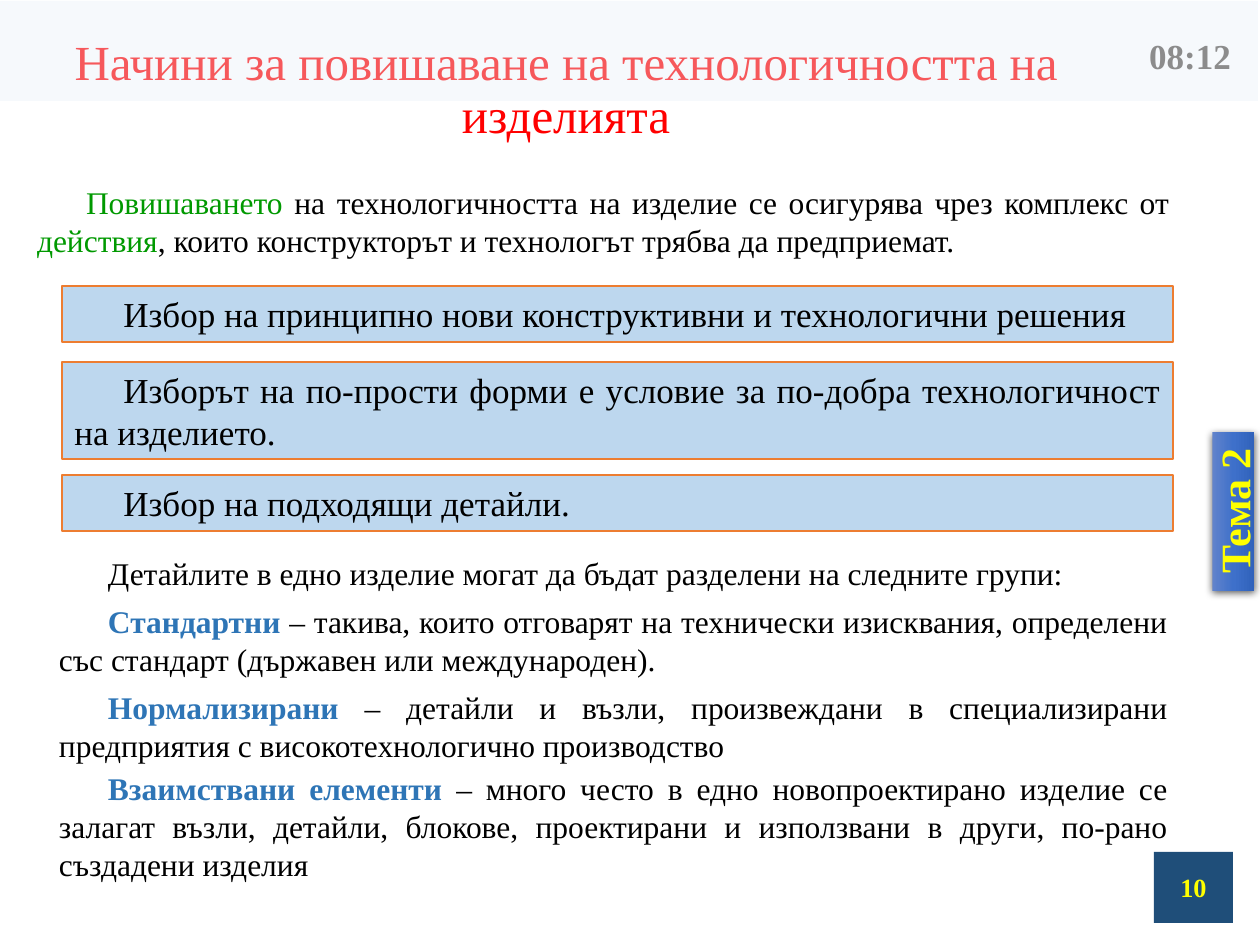
"""Build the slide on ways to make products easier to manufacture."""
from copy import deepcopy

from lxml.etree import SubElement
from pptx import Presentation
from pptx.dml.color import RGBColor
from pptx.enum.shapes import MSO_SHAPE
from pptx.enum.text import MSO_ANCHOR, PP_ALIGN
from pptx.oxml.ns import qn
from pptx.util import Pt

PX = 914400 / 126
FONT = "Times New Roman"
INDENT = 49
HEX = {
    "band": "E7F0F9", "red": "FF0000", "grey": "8C8C8C", "green": "009900",
    "black": "000000", "navy": "1F4E79", "yellow": "FFFF00", "pale": "BDD7EE",
    "orange": "ED7D31", "blue": "2E75B6",
    "light": "6183CB", "mid": "3E70CA", "dark": "3062BB",
}
RGB = {name: RGBColor.from_string(code) for name, code in HEX.items()}


def px(*sizes):
    return [round(size * PX) for size in sizes]


def write(frame, paras, size, align, inset=None, indent=0, anchor=MSO_ANCHOR.TOP):
    frame.word_wrap = True
    frame.vertical_anchor = anchor
    if inset is not None:
        edge = px(inset)[0]
        frame.margin_left = frame.margin_right = edge
        frame.margin_top = frame.margin_bottom = edge
    for i, (gap, runs) in enumerate(paras):
        para = frame.add_paragraph() if i else frame.paragraphs[0]
        para.alignment = align
        para.space_before = Pt(gap)
        if indent:
            para._p.get_or_add_pPr().set("indent", str(px(indent)[0]))
        for text, color, bold in runs:
            run = para.add_run()
            run.text = text
            run.font.name = FONT
            run.font.size = Pt(size)
            run.font.bold = bold
            run.font.color.rgb = RGB[color]


deck = Presentation()
deck.slide_width, deck.slide_height = px(1260, 945)
slide = deck.slides.add_slide(deck.slide_layouts[5])
shapes = slide.shapes

band = shapes.add_shape(MSO_SHAPE.RECTANGLE, *px(-2, 1, 1260, 100))
band.shadow.inherit = False
band.fill.solid()
band.fill.fore_color.rgb = RGB["band"]
band.line.fill.background()
tint = band._element.spPr.find(qn("a:solidFill"))[0]
SubElement(tint, qn("a:alpha"), val="37000")

tab = shapes.add_shape(MSO_SHAPE.RECTANGLE, *px(1154, 490, 159, 42))
tab.rotation = 270
tab.line.fill.background()
tab.fill.gradient()
tab.fill.gradient_angle = 270
stops = tab._element.spPr.find(qn("a:gradFill")).find(qn("a:gsLst"))
stops.insert(1, deepcopy(stops[0]))
for stop, (pos, color) in zip(
    tab.fill.gradient_stops, [(0, "light"), (0.5, "mid"), (1, "dark")]
):
    stop.position = pos
    stop.color.rgb = RGB[color]
tab.shadow.inherit = False
glow = SubElement(
    tab._element.spPr.find(qn("a:effectLst")), qn("a:outerShdw"),
    blurRad=str(Pt(4.5)), dist=str(Pt(1.5)), dir="5400000", rotWithShape="0",
)
shade = SubElement(glow, qn("a:srgbClr"), val=HEX["black"])
SubElement(shade, qn("a:alpha"), val="63000")
write(tab.text_frame, [(0, [("Тема 2", "yellow", True)])], 24,
      PP_ALIGN.CENTER, anchor=MSO_ANCHOR.MIDDLE)

title = shapes.title
title.left, title.top, title.width, title.height = px(32, 33, 1068, 117)
write(title.text_frame,
      [(0, [("Начини за повишаване на технологичността на изделията", "red", False)])],
      28, PP_ALIGN.CENTER, 5)
title.text_frame.paragraphs[0].line_spacing = 0.9

clock = shapes.add_textbox(*px(1131, 30, 118, 50))
write(clock.text_frame, [(0, [("08:12", "grey", True)])], 20,
      PP_ALIGN.CENTER, anchor=MSO_ANCHOR.MIDDLE)

intro = shapes.add_textbox(*px(32, 178, 1143, 87))
write(intro.text_frame, [(3, [
    ("Повишаването", "green", False),
    (" на технологичността на изделие се осигурява чрез комплекс от ", "black", False),
    ("действия", "green", False),
    (", които конструкторът и технологът трябва да предприемат.", "black", False),
])], 18, PP_ALIGN.JUSTIFY, 5, INDENT)

badge = shapes.add_shape(MSO_SHAPE.RECTANGLE, *px(1154, 852, 79, 71))
badge.shadow.inherit = False
badge.fill.solid()
badge.fill.fore_color.rgb = RGB["navy"]
badge.line.fill.background()
write(badge.text_frame, [(0, [("10", "yellow", True)])], 15,
      PP_ALIGN.CENTER, anchor=MSO_ANCHOR.MIDDLE)

ways = [
    (286, 56, PP_ALIGN.JUSTIFY,
     "Избор на принципно нови конструктивни и технологични решения"),
    (362, 97, PP_ALIGN.JUSTIFY,
     "Изборът на по-прости форми е условие за по-добра технологичност на изделието."),
    (475, 56, PP_ALIGN.LEFT, "Избор на подходящи детайли."),
]
for top, high, align, text in ways:
    box = shapes.add_shape(MSO_SHAPE.RECTANGLE, *px(62, top, 1111, high))
    box.shadow.inherit = False
    box.fill.solid()
    box.fill.fore_color.rgb = RGB["pale"]
    box.line.color.rgb = RGB["orange"]
    box.line.width = Pt(1)
    write(box.text_frame, [(0, [(text, "black", False)])], 20, align, indent=INDENT)

groups = [
    (6, "Стандартни", " – такива, които отговарят на технически изисквания, "
     "определени със стандарт (държавен или международен)."),
    (6, "Нормализирани", " – детайли и възли, произвеждани в специализирани "
     "предприятия с високотехнологично производство"),
    (3, "Взаимствани елементи", " – много често в едно новопроектирано изделие се "
     "залагат възли, детайли, блокове, проектирани и използвани в други, "
     "по-рано създадени изделия"),
]
lead = "Детайлите в едно изделие могат да бъдат разделени на следните групи:"
paras = [(3, [(lead, "black", False)])]
for gap, name, text in groups:
    paras.append((gap, [(name, "blue", True), (text, "black", False)]))
parts = shapes.add_textbox(*px(54, 549, 1119, 341))
write(parts.text_frame, paras, 18, PP_ALIGN.JUSTIFY, 5, INDENT)

deck.save("out.pptx")
